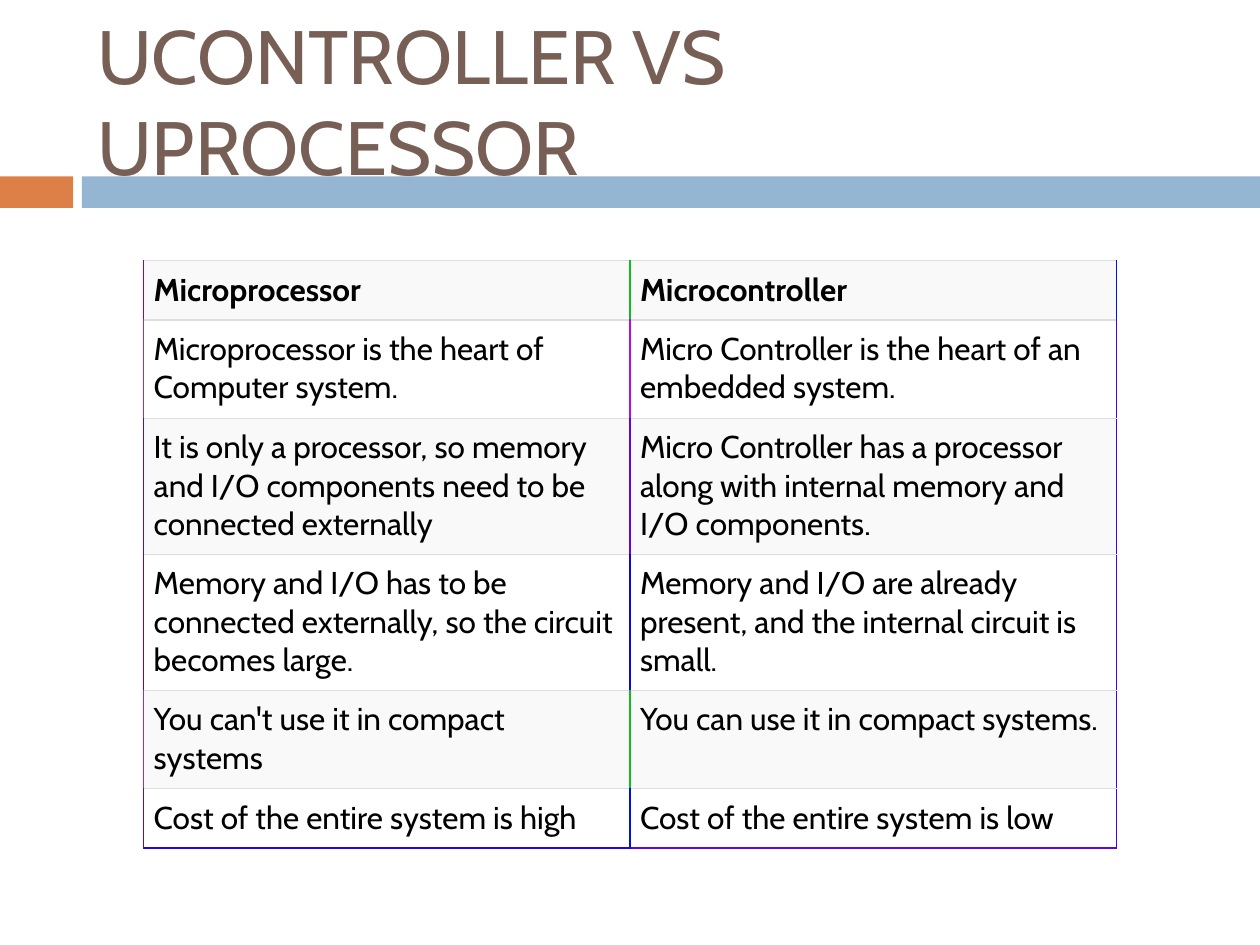
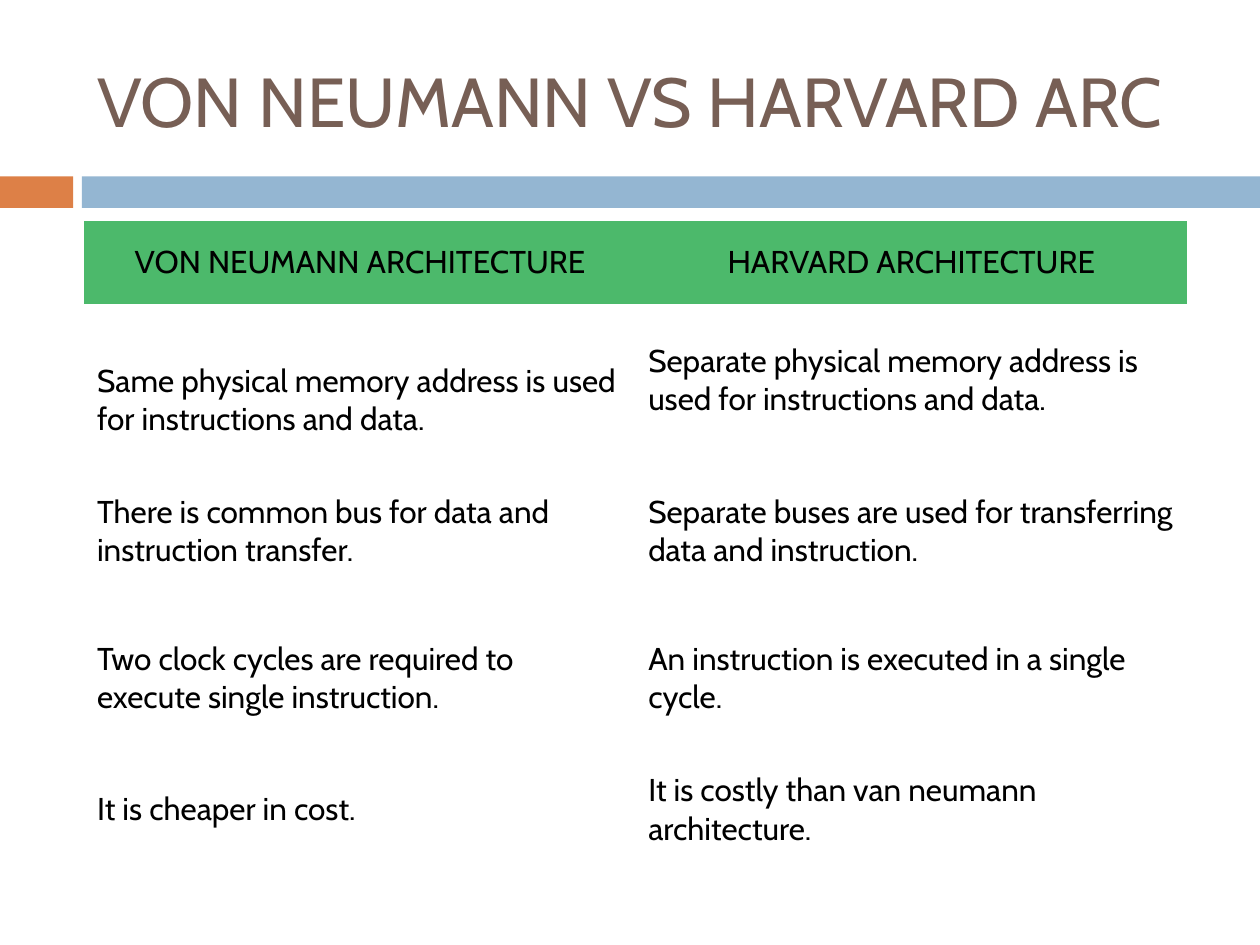
import pptx
import pptx.dml.color
import pptx.enum.shapes
import pptx.enum.text
import pptx.oxml.ns
import pptx.util
from dataclasses import dataclass
from lxml import etree

Inches = pptx.util.Inches
Pt = pptx.util.Pt
qn = pptx.oxml.ns.qn
Align = pptx.enum.text.PP_ALIGN
Anchor = pptx.enum.text.MSO_ANCHOR


@dataclass(frozen=True)
class Theme:
    font: str = "Cabin"
    title: str = "775F55"
    text: str = "000000"
    paper: str = "FFFFFF"
    accent: str = "DD8047"
    band: str = "94B6D2"
    stripe: str = "F9F9F9"
    header: str = "4CB96B"
    rule: str = "DDDDDD"
    body_size: float = 18
    edge_width: float = 1
    rule_width: float = 0.75
    plain_table: str = "{2D5ABB26-0587-4C30-8999-92F81FD0307C}"


def rgb(colour):
    return pptx.dml.color.RGBColor.from_string(colour)


class Deck:
    def __init__(self, theme):
        self.theme = theme
        self.prs = pptx.Presentation()
        self.prs.slide_width, self.prs.slide_height = Inches(10), Inches(7.5)
        self.slide = None

    def new_slide(self, heading, size):
        """Start a slide with the two bands and the title above them."""
        self.slide = self.prs.slides.add_slide(self.prs.slide_layouts[5])
        self.band(0, 0.58, self.theme.accent)
        self.band(0.65, 9.35, self.theme.band)
        title = self.slide.shapes.title
        title.left, title.top = Inches(0.67), Inches(0.25)
        title.width, title.height = Inches(8.92), Inches(1.08)
        frame = title.text_frame
        frame.text = heading
        frame.word_wrap = True
        frame.auto_size = pptx.enum.text.MSO_AUTO_SIZE.NONE
        frame.vertical_anchor = Anchor.MIDDLE
        self.style(frame, size, self.theme.title, Align.LEFT)
        title.element.getparent().append(title.element)

    def band(self, left, width, colour):
        band = self.slide.shapes.add_shape(
            pptx.enum.shapes.MSO_SHAPE.RECTANGLE,
            Inches(left), Inches(1.4), Inches(width), Inches(0.25))
        band.shadow.inherit = False
        band.fill.solid()
        band.fill.fore_color.rgb = rgb(colour)
        band.line.fill.background()

    def style(self, frame, size, colour, align, bold=False):
        for paragraph in frame.paragraphs:
            paragraph.alignment = align
            for run in paragraph.runs:
                run.font.name = self.theme.font
                run.font.size = Pt(size)
                run.font.bold = bold
                run.font.color.rgb = rgb(colour)

    def table(self, left, top, column_width, heights, rows):
        """Add an unstyled table holding the given rows of text."""
        columns = len(rows[0])
        frame = self.slide.shapes.add_table(
            len(rows), columns, Inches(left), Inches(top),
            Inches(column_width * columns), Inches(sum(heights)))
        table = frame.table
        table.first_row = table.horz_banding = False
        next(frame.element.iter(qn("a:tableStyleId"))).text = self.theme.plain_table
        for column in table.columns:
            column.width = Inches(column_width)
        for row, height, texts in zip(table.rows, heights, rows):
            row.height = Inches(height)
            for cell, text in zip(row.cells, texts):
                cell.text_frame.text = text
        return table

    def format_cell(self, cell, fill, inset=(0.08, 0.08), anchor=Anchor.TOP,
                    align=Align.LEFT, bold=False):
        cell.margin_left = cell.margin_right = Inches(inset[0])
        cell.margin_top = cell.margin_bottom = Inches(inset[1])
        cell.vertical_anchor = anchor
        cell.fill.solid()
        cell.fill.fore_color.rgb = rgb(fill)
        self.style(cell.text_frame, self.theme.body_size, self.theme.text, align, bold)

    def borders(self, cell, left, right, bottom):
        """Give a cell coloured sides, a thin top rule and a bottom line."""
        theme = self.theme
        bottom_width = theme.rule_width if bottom == theme.rule else theme.edge_width
        sides = (("L", left, theme.edge_width), ("R", right, theme.edge_width),
                 ("T", theme.rule, theme.rule_width), ("B", bottom, bottom_width))
        properties = cell._tc.get_or_add_tcPr()
        for place, (side, colour, width) in enumerate(sides):
            line = etree.Element(qn("a:ln" + side), w=str(Pt(width)))
            fill = etree.SubElement(line, qn("a:solidFill"))
            etree.SubElement(fill, qn("a:srgbClr"), val=colour)
            properties.insert(place, line)


def controller_slide(deck):
    theme = deck.theme
    deck.new_slide("UCONTROLLER VS UPROCESSOR", 43.2)
    comparison = [
        ("Microprocessor", "Microcontroller"),
        ("Microprocessor is the heart of Computer system.",
         "Micro Controller is the heart of an embedded system."),
        ("It is only a processor, so memory and I/O components need to be connected externally",
         "Micro Controller has a processor along with internal memory and I/O components."),
        ("Memory and I/O has to be connected externally, so the circuit becomes large.",
         "Memory and I/O are already present, and the internal circuit is small."),
        ("You can't use it in compact systems", "You can use it in compact systems."),
        ("Cost of the entire system is high", "Cost of the entire system is low"),
    ]
    # Left, middle and right edge of each row
    edges = [
        ("7003E8", "10BD1E", "000FE8"),
        ("902DE3", "B00EE8", "4003E8"),
        ("400EE8", "6003E8", "4003E8"),
        ("5003E8", "1003E8", "4003E8"),
        ("902DE3", "10BD1E", "4003E8"),
        ("400EE8", "000FE8", "4003E8"),
    ]
    last_edges = ("2003E8", "6003E8")
    table = deck.table(1.14, 2.07, 3.86, [0.47, 0.78, 1.08, 1.08, 0.78, 0.47], comparison)
    for r, row in enumerate(table.rows):
        for c, cell in enumerate(row.cells):
            deck.format_cell(cell, theme.paper if r % 2 else theme.stripe, bold=r == 0)
            bottom = last_edges[c] if r == len(edges) - 1 else theme.rule
            deck.borders(cell, edges[r][c], edges[r][c + 1], bottom)


def architecture_slide(deck):
    theme = deck.theme
    deck.new_slide("VON NEUMANN VS HARVARD ARC", 39.6)
    comparison = [
        ("VON NEUMANN ARCHITECTURE", "HARVARD ARCHITECTURE"),
        ("Same physical memory address is used for instructions and data.",
         "Separate physical memory address is used for instructions and data."),
        ("There is common bus for data and instruction transfer.",
         "Separate buses are used for transferring data and instruction."),
        ("Two clock cycles are required to execute single instruction.",
         "An instruction is executed in a single cycle."),
        ("It is cheaper in cost.", "It is costly than van neumann architecture."),
    ]
    table = deck.table(0.67, 1.75, 4.375, [0.66, 1.22, 1.17, 1.17, 0.91], comparison)
    for r, row in enumerate(table.rows):
        for cell in row.cells:
            if r == 0:
                deck.format_cell(cell, theme.header, anchor=Anchor.MIDDLE, align=Align.CENTER)
            else:
                deck.format_cell(cell, theme.paper, (0.1, 0.15), Anchor.MIDDLE)
    # The first statement sits one line lower than its neighbour
    table.cell(1, 0).margin_top = Inches(0.46)


def main():
    deck = Deck(Theme())
    controller_slide(deck)
    architecture_slide(deck)
    deck.prs.save("out.pptx")


if __name__ == "__main__":
    main()
